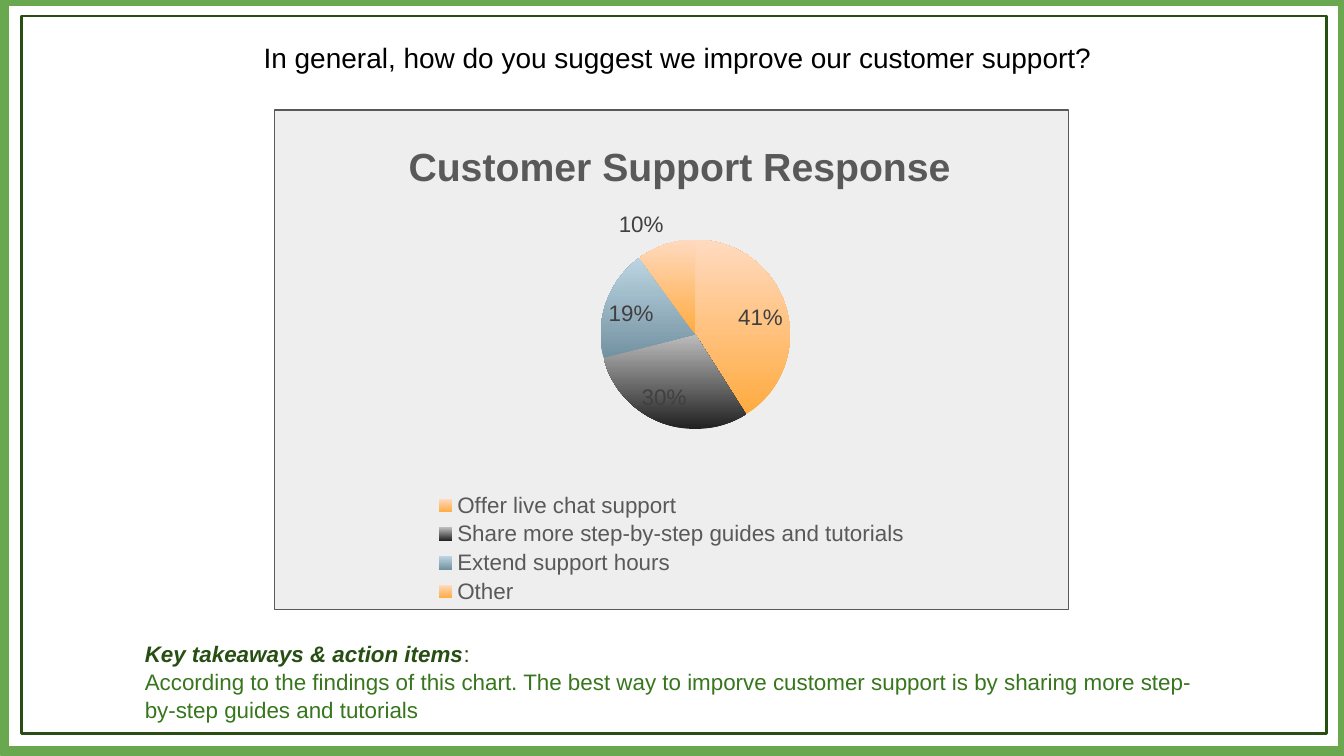
"""Builds a survey slide with a pie chart of customer support answers."""
import pptx
import pptx.util
import pptx.dml.color
import pptx.chart.data
import pptx.enum.chart
import pptx.enum.shapes
import pptx.enum.text
import pptx.oxml

Pt = pptx.util.Pt
RGB = pptx.dml.color.RGBColor
GREEN = RGB(0x6A, 0xA8, 0x4F)
DARK = RGB(0x27, 0x4E, 0x13)
MID = RGB(0x38, 0x76, 0x1D)
BLACK = RGB(0, 0, 0)
GREY = RGB(0x59, 0x59, 0x59)
LABEL = RGB(0x40, 0x40, 0x40)
PANEL = RGB(0xEE, 0xEE, 0xEE)
ORANGE = (RGB(0xFF, 0xAB, 0x40), RGB(0xFF, 0xDA, 0xC0))
COAL = (RGB(0x21, 0x21, 0x21), RGB(0xBD, 0xBD, 0xBD))
BLUE = (RGB(0x73, 0x92, 0xA1), RGB(0xBD, 0xD5, 0xE2))

ASK = "In general, how do you suggest we improve our customer support?"
HEAD = "Customer Support Response"
NOTES = [
    [("Key takeaways & action items", dict(color=DARK, bold=True, italic=True)),
     (": ", dict(color=DARK))],
    [("According to the findings of this chart. The best way to imporve customer "
      "support is by sharing more step-by-step guides and tutorials", dict(color=MID))],
]
VOTES = [
    ("Offer live chat support", 0.41, ORANGE),
    ("Share more step-by-step guides and tutorials", 0.30, COAL),
    ("Extend support hours", 0.19, BLUE),
    ("Other", 0.10, ORANGE),
]
BOXES = [
    ((2, 0, 718, 402.5), None, GREEN, 6),
    ((11.5, 8.6, 699, 384.5), None, DARK, 1.5),
    ((147, 59, 425.5, 267.5), PANEL, GREY, 0.75),
]


def style(font, size=12, color=BLACK, bold=False, italic=False):
    font.name, font.size = "Arial", Pt(size)
    font.bold, font.italic = bold, italic
    font.color.rgb = color


def write(para, text, **look):
    run = para.add_run()
    run.text = text
    style(run.font, **look)


def setup(shape, left, top, width, height):
    shape.left, shape.top = Pt(left), Pt(top)
    shape.width, shape.height = Pt(width), Pt(height)
    frame = shape.text_frame
    frame.word_wrap = True
    frame.auto_size = pptx.enum.text.MSO_AUTO_SIZE.NONE
    frame.vertical_anchor = pptx.enum.text.MSO_ANCHOR.TOP
    frame.margin_left = frame.margin_right = Pt(7.2)
    frame.margin_top = frame.margin_bottom = Pt(7.2)
    return frame


def place(node, index, **spots):
    for old in node.xpath("c:layout"):
        node.remove(old)
    modes = "".join(f'<c:{key}Mode val="edge"/>' for key in "xy")
    target = '<c:layoutTarget val="inner"/>' if index == 0 else ""
    sizes = "".join(f'<c:{key} val="{val}"/>' for key, val in spots.items())
    node.insert(index, pptx.oxml.parse_xml(
        '<c:layout xmlns:c="http://schemas.openxmlformats.org/drawingml/2006/chart">'
        f"<c:manualLayout>{target}{modes}{sizes}</c:manualLayout></c:layout>"))


deck = pptx.Presentation()
deck.slide_width, deck.slide_height = Pt(720), Pt(405)
slide = deck.slides.add_slide(deck.slide_layouts[5])
shapes = slide.shapes

for spot, fill, line, weight in BOXES:
    box = shapes.add_shape(pptx.enum.shapes.MSO_SHAPE.RECTANGLE, *map(Pt, spot))
    box.shadow.inherit = False
    if fill is None:
        box.fill.background()
    else:
        box.fill.solid()
        box.fill.fore_color.rgb = fill
    box.line.color.rgb = line
    box.line.width = Pt(weight)

para = setup(shapes.title, 127.5, 14.5, 471, 32.5).paragraphs[0]
para.alignment = pptx.enum.text.PP_ALIGN.CENTER
write(para, ASK, size=15)

note = shapes.add_textbox(0, 0, 0, 0)
frame = setup(note, 70.5, 335, 590, 58.5)
for row, parts in enumerate(NOTES):
    para = frame.add_paragraph() if row else frame.paragraphs[0]
    para.line_spacing = 1.05
    for text, look in parts:
        write(para, text, **look)

data = pptx.chart.data.CategoryChartData(number_format="0%")
data.categories = [name for name, share, shades in VOTES]
data.add_series("Series 1", [share for name, share, shades in VOTES])
chart = shapes.add_chart(pptx.enum.chart.XL_CHART_TYPE.PIE,
                         Pt(147), Pt(59), Pt(425.5), Pt(267), data).chart
style(chart.font, size=10)

write(chart.chart_title.text_frame.paragraphs[0], HEAD, size=21, color=GREY, bold=True)
chart.chart_title.include_in_layout = False
chart.has_legend = True
legend = chart.legend
legend.position = pptx.enum.chart.XL_LEGEND_POSITION.BOTTOM
legend.include_in_layout = False
style(legend.font, color=GREY)

plot = chart.plots[0]
plot.vary_by_categories = True
plot.has_data_labels = True
labels = plot.data_labels
labels.show_value, labels.show_percentage = True, False
labels.number_format, labels.number_format_is_linked = "0%", False
labels.position = pptx.enum.chart.XL_LABEL_POSITION.BEST_FIT
style(labels.font, color=LABEL)

for index, (name, share, shades) in enumerate(VOTES):
    fill = plot.series[0].points[index].format.fill
    fill.gradient()
    fill.gradient_angle = 90
    for stop, shade in zip(fill.gradient_stops, shades):
        stop.color.rgb = shade

place(chart.chart_title._element, 1, x=0.16, y=0.05)
place(legend._element, 1, x=0.2, y=0.76, w=0.6, h=0.24)
place(chart._chartSpace.xpath("c:chart/c:plotArea")[0], 0, x=0.41, y=0.26, w=0.24, h=0.38)

deck.save("out.pptx")
